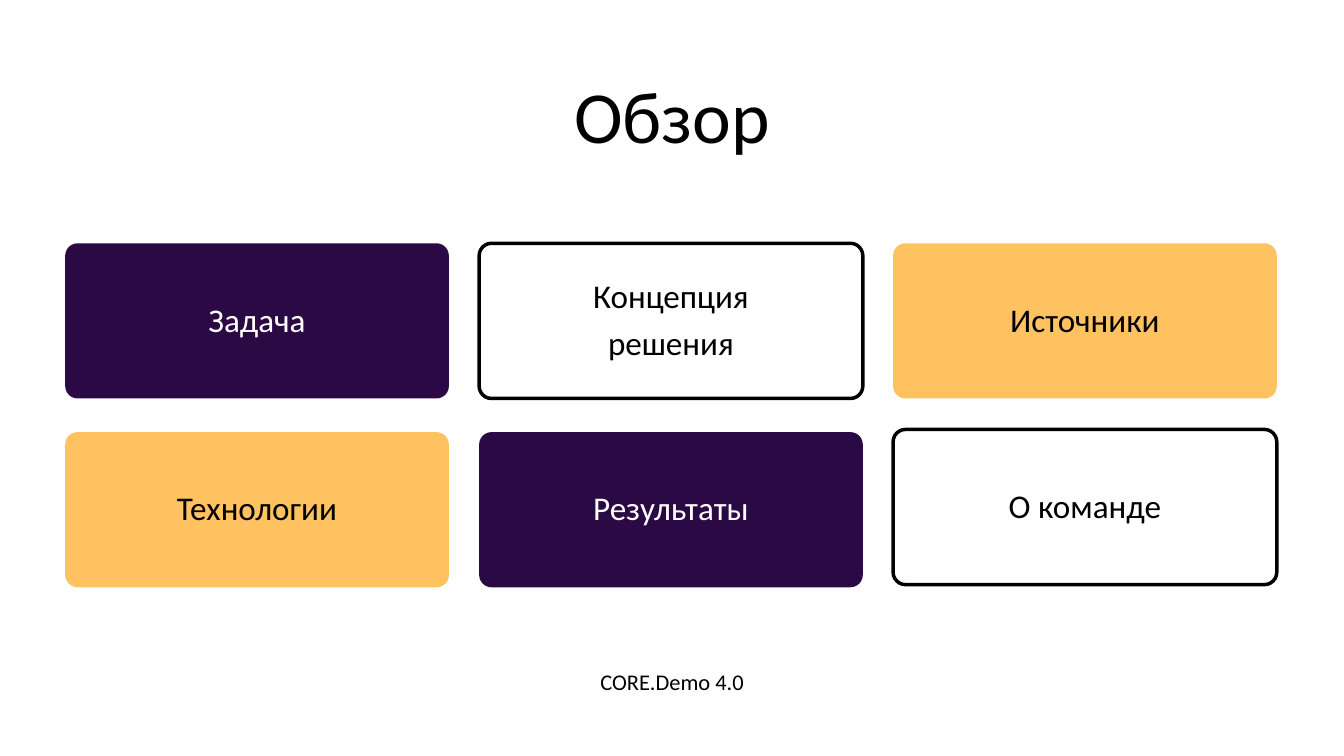
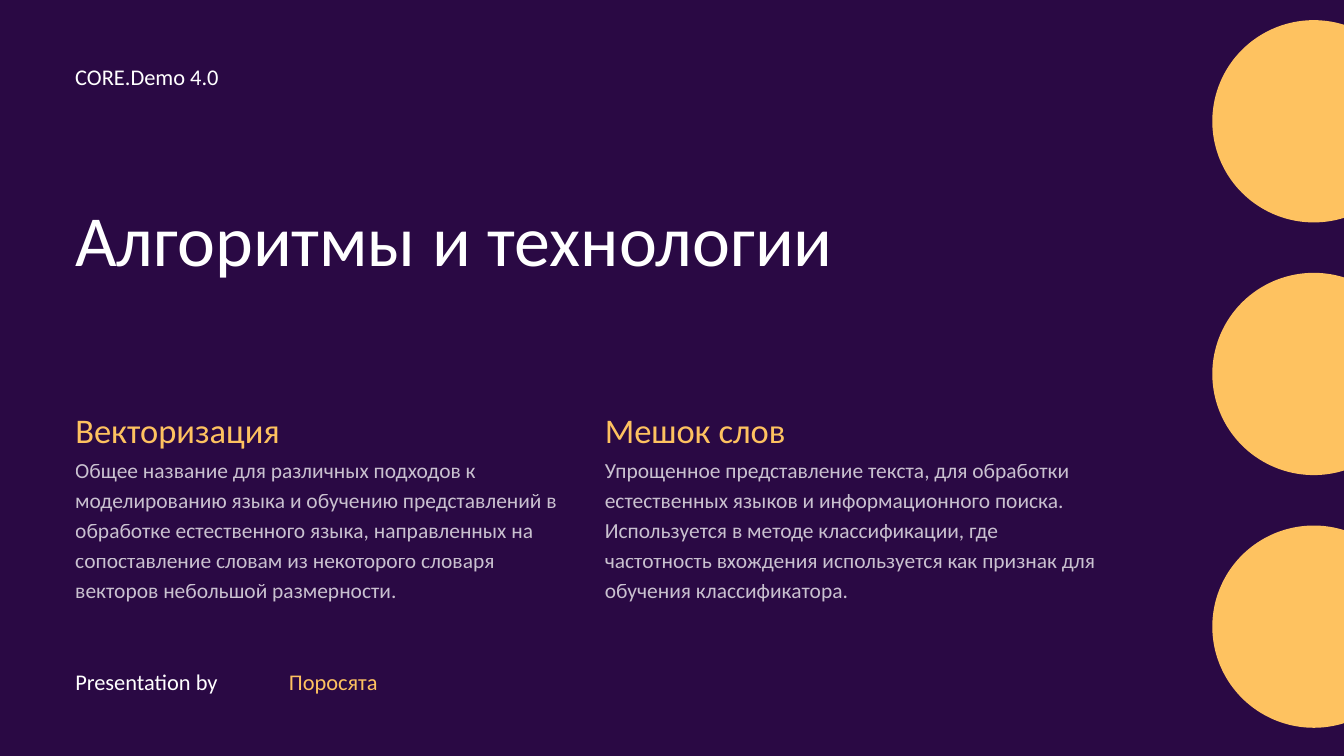
from lxml import etree
from pptx import Presentation
from pptx.dml.color import RGBColor
from pptx.enum.shapes import MSO_SHAPE
from pptx.enum.text import MSO_ANCHOR, PP_ALIGN
from pptx.oxml.ns import qn
from pptx.util import Pt

PX = 9144  # 100 px to the inch
LEFT, CENTER, RIGHT = PP_ALIGN.LEFT, PP_ALIGN.CENTER, PP_ALIGN.RIGHT
MIDDLE = MSO_ANCHOR.MIDDLE
ROUNDED, OVAL = MSO_SHAPE.ROUNDED_RECTANGLE, MSO_SHAPE.OVAL

COLORS = {
    "violet": "2A0944",
    "amber": "FEC260",
    "white": "FFFFFF",
    "black": "000000",
}
RGB = {name: RGBColor.from_string(value) for name, value in COLORS.items()}
FONT = "Calibri"
TITLE_LEADING, TEXT_LEADING = 0.94, 1.4
LABEL_SIZE, CARD_SIZE, HEADING_SIZE, BODY_SIZE = 24, 35.5, 37, 23
EVENT = "CORE.Demo 4.0"
FOOTER_TOP, LABEL_HEIGHT = 988, 44


def write(frame, text, size, color, align=LEFT, leading=TEXT_LEADING):
    """Fill a text frame in the deck's style, without insets."""
    frame.word_wrap = True
    frame.margin_left = frame.margin_top = 0
    frame.margin_right = frame.margin_bottom = 0
    frame.text = text
    for para in frame.paragraphs:
        para.alignment = align
        para.line_spacing = Pt(round(size * leading, 1))
        for span in para.runs:
            span.font.name = FONT
            span.font.size = Pt(size)
            span.font.color.rgb = RGB[color]


def add_text(page, left, top, width, height, *style, **options):
    box = page.shapes.add_textbox(left * PX, top * PX, width * PX, height * PX)
    write(box.text_frame, *style, **options)
    return box


deck = Presentation()
deck.slide_width, deck.slide_height = 2000 * PX, 1125 * PX
pages = []
for background in ("white", "violet"):
    page = deck.slides.add_slide(deck.slide_layouts[6])
    page.background.fill.solid()
    page.background.fill.fore_color.rgb = RGB[background]
    pages.append(page)
overview, technology = pages

# Overview: title and footer
add_text(overview, 387, 133, 1227, 110, "Обзор", 78.6, "black", CENTER,
         leading=TITLE_LEADING)
add_text(overview, 444, FOOTER_TOP, 1112, LABEL_HEIGHT, EVENT, LABEL_SIZE,
         "black", CENTER)

# Overview: grid of topic cards
CARD_LEFT, CARD_STEP, CARD_WIDTH, CARD_HEIGHT = 97, 616, 571, 231
card_rows = [
    [("Задача", "violet", 362), ("Концепция\nрешения", None, 362),
     ("Источники", "amber", 362)],
    [("Технологии", "amber", 643), ("Результаты", "violet", 643),
     ("О команде", None, 639)],
]
for row in card_rows:
    for column, (topic, fill, top) in enumerate(row):
        card = overview.shapes.add_shape(
            ROUNDED, (CARD_LEFT + column * CARD_STEP) * PX, top * PX,
            CARD_WIDTH * PX, CARD_HEIGHT * PX)
        card.shadow.inherit = False
        card.adjustments[0] = 0.08
        if fill:
            card.fill.solid()
            card.fill.fore_color.rgb = RGB[fill]
            card.line.fill.background()
        else:
            card.fill.background()
            card.line.color.rgb = RGB["black"]
            card.line.width = Pt(3.75)
        write(card.text_frame, topic, CARD_SIZE,
              "white" if fill == "violet" else "black", CENTER)
        card.text_frame.vertical_anchor = MIDDLE
        card.text_frame.margin_bottom = 16 * PX

# Technology: circles running off the right edge
for number in range(3):
    circle = technology.shapes.add_shape(
        OVAL, 1804 * PX, (30 + number * 376) * PX, 302 * PX, 301 * PX)
    circle.shadow.inherit = False
    circle.fill.solid()
    circle.fill.fore_color.rgb = RGB["amber"]
    circle.line.fill.background()

# Technology: event label and title
MARGIN = 112
add_text(technology, MARGIN, 88, 854, LABEL_HEIGHT, EVENT, LABEL_SIZE, "white")
add_text(technology, MARGIN, 318, 1480, 107, "Алгоритмы и технологии", 77,
         "white", leading=TITLE_LEADING)

# Technology: two columns of heading and explanation
columns = [
    ("Векторизация",
     "Общее название для различных подходов к моделированию языка и обучению "
     "представлений в обработке естественного языка, направленных на "
     "сопоставление словам из некоторого словаря векторов небольшой "
     "размерности."),
    ("Мешок слов",
     "Упрощенное представление текста, для обработки естественных языков и "
     "информационного поиска. Используется в методе классификации, где "
     "частотность вхождения используется как признак для обучения "
     "классификатора."),
]
for number, (heading, explanation) in enumerate(columns):
    left = MARGIN + number * 788
    add_text(technology, left, 599, 421, 69, heading, HEADING_SIZE, "amber")
    body = add_text(technology, left, 674, 740, 261, explanation, BODY_SIZE,
                    "white")
    # Body text is 75 % opaque
    for color in body.text_frame._txBody.iter(qn("a:srgbClr")):
        etree.SubElement(color, qn("a:alpha"), val="75000")

# Technology: footer
add_text(technology, MARGIN, FOOTER_TOP, 421, LABEL_HEIGHT, "Presentation by",
         LABEL_SIZE, "white")
add_text(technology, 192, FOOTER_TOP, 370, LABEL_HEIGHT, "Поросята",
         LABEL_SIZE, "amber", RIGHT)

deck.save("out.pptx")
